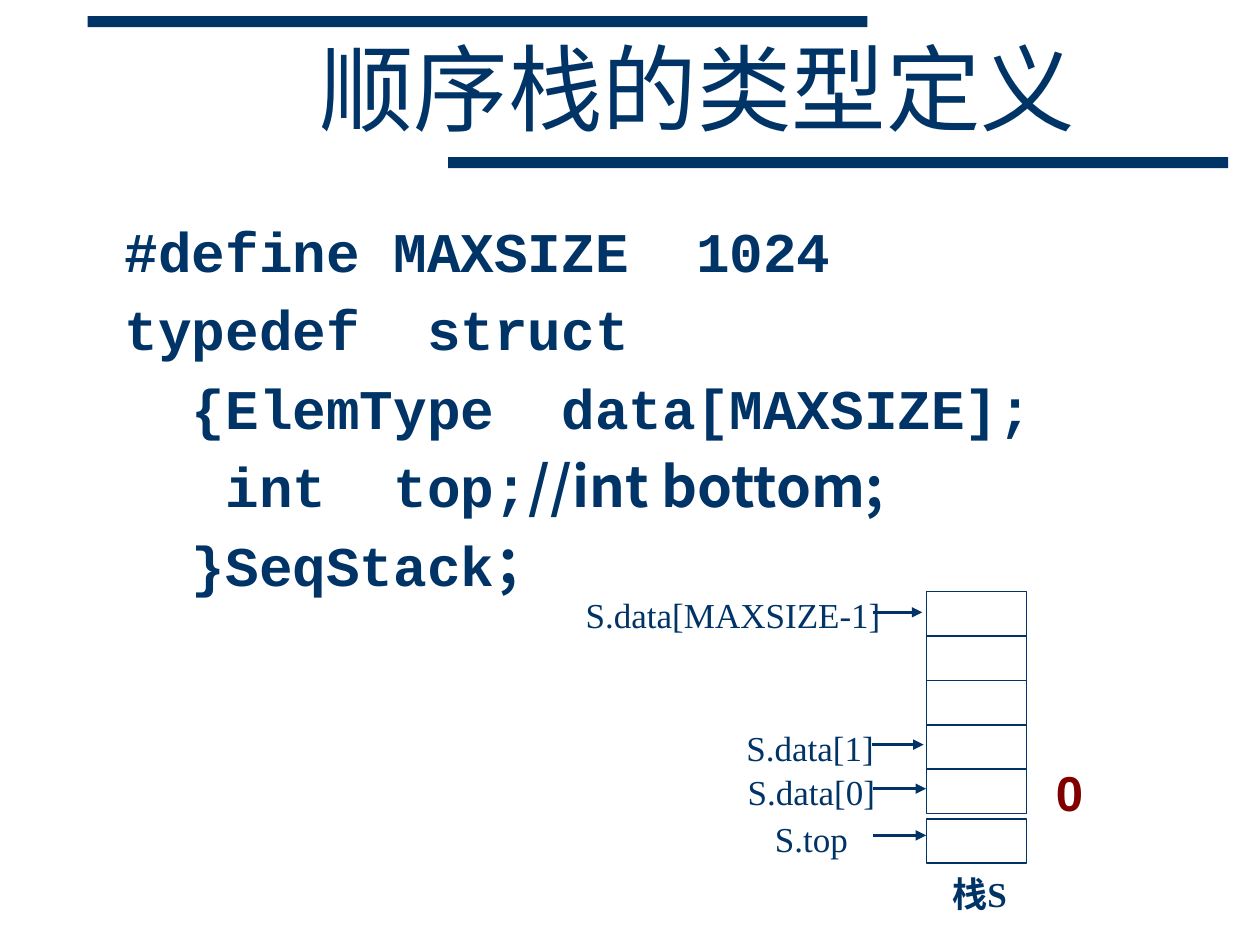
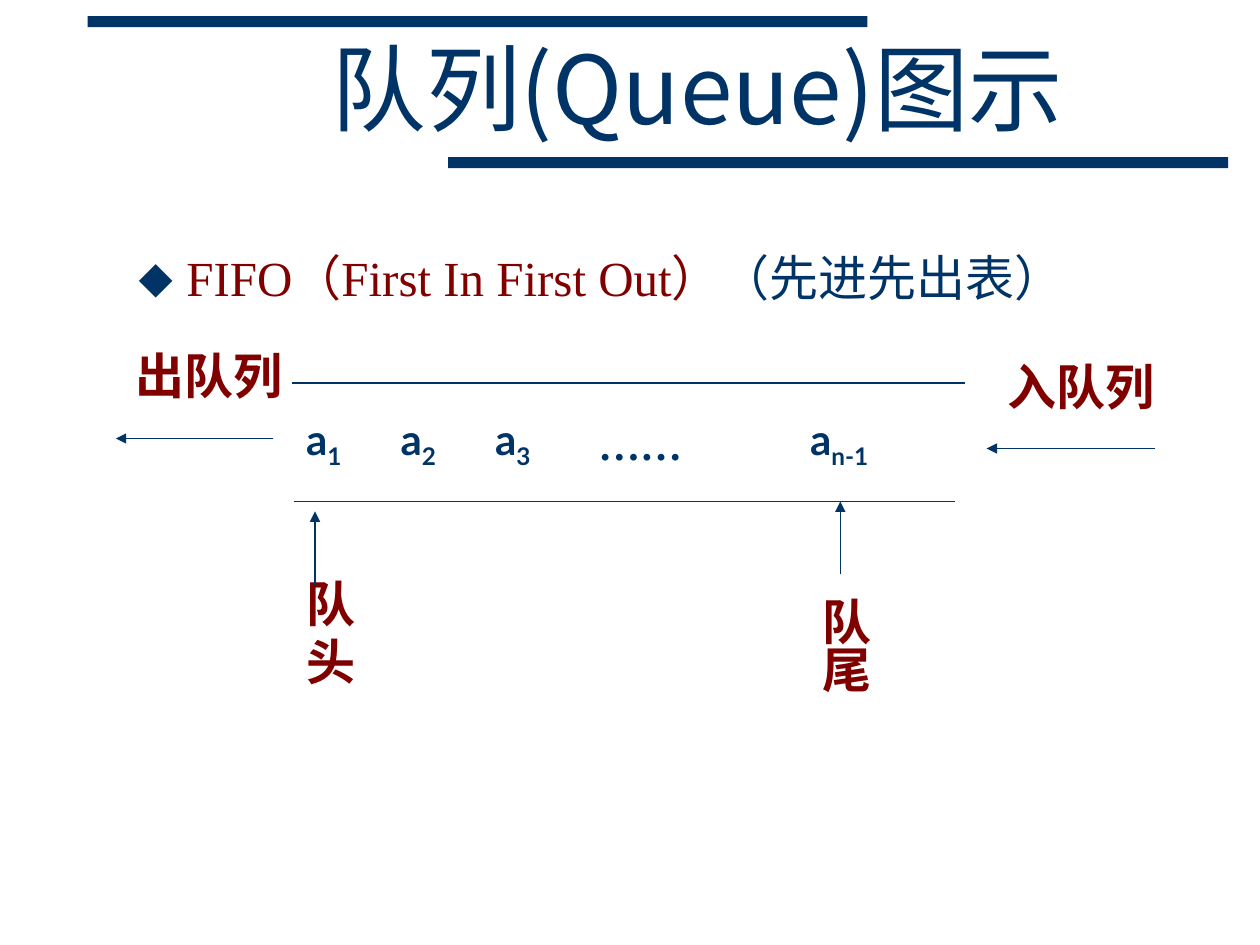
from dataclasses import dataclass

from lxml.etree import SubElement
from pptx import Presentation
from pptx.dml.color import RGBColor
from pptx.enum.shapes import MSO_CONNECTOR, MSO_SHAPE
from pptx.enum.text import MSO_ANCHOR, MSO_AUTO_SIZE, PP_ALIGN
from pptx.oxml.ns import qn
from pptx.util import Pt


@dataclass(frozen=True)
class Theme:
    navy: str = "003366"
    maroon: str = "800000"
    title_size: int = 54
    code_size: int = 32
    heading_size: int = 28
    item_size: int = 24
    label_size: int = 20
    title_font: str = "Noto Sans CJK JP"
    chinese: str = "Noto Sans CJK SC"
    code: str = "Courier New"
    serif: str = "Times New Roman"
    sans: str = "Arial"
    item: str = "Lato"


THEME = Theme()

# A paragraph is a list of spans: (text, format changes).
STACK_TITLE = "顺序栈的类型定义"
STACK_CODE = [
    [("#define MAXSIZE  1024", {})],
    [("typedef  struct", {})],
    [("  {ElemType  data[MAXSIZE];", {})],
    [("   int  top;", {}), ("//int bottom;", {"font": THEME.chinese})],
    [("  }SeqStack", {}), ("；", {"font": THEME.chinese})],
]
# Label, its box (left, top, width), arrow (start, end, height)
STACK_LABELS = [
    ("S.data[MAXSIZE-1]", (325.4, 337, 187.2), (499, 527, 349.9)),
    ("S.data[1]", (423, 413.3, 80), (498.2, 527.8, 425.5)),
    ("S.data[0]", (423.7, 438.5, 80), (499, 529.2, 450.7)),
    ("S.top", (423.7, 465.1, 80), (499, 529.2, 477.4)),
]
STACK_NAME = "栈S"
TOP_VALUE = "0"
DATA_CELLS = 5
CELL_LEFT, CELL_TOP, CELL_PITCH = 529.6, 338.1, 25.4
CELL_WIDTH, CELL_HEIGHT, TOP_CELL = 56.9, 25.2, 468

QUEUE_TITLE = "队列(Queue)图示"
QUEUE_RULE = [[
    ("FIFO", {}),
    ("（", {"font": THEME.sans}),
    ("First In First Out", {}),
    ("）", {"font": THEME.sans}),
    ("（先进先出表）", {"font": THEME.sans, "color": THEME.navy}),
]]
# Subscript, column and box width
QUEUE_ITEMS = [("1", 0, 38.9), ("2", 1, 38.9), ("3", 2, 38.9), ("n-1", 16 / 3, 56.2)]
ITEM_LEFT, ITEM_TOP, ITEM_PITCH = 167.8, 232.6, 54
QUEUE_GAP = "……"
# Lines of a label, its box, and whether it reads downwards
QUEUE_LABELS = [
    (["出队列"], (70.6, 193.7, 98.6, 41), False),
    (["入队列"], (568.8, 200.2, 98.6, 41), False),
    (["队", "头"], (167.8, 324, 42.5, 74.2), False),
    (["队尾"], (455, 334.1, 48.2, 62.6), True),
]
QUEUE_WALLS = [(167, 218.9, 551.5, 218.9), (167.8, 286.6, 545.8, 286.6)]
QUEUE_ARROWS = [
    (156.2, 250.6, 66.2, 250.6),
    (660.2, 256.3, 563.8, 256.3),
    (180, 334.1, 180, 292.3),
    (480.2, 328.3, 480.2, 286.6),
]

BANDS = [(50, 9.2), (256.1, 89.8)]
BAND_SIZE = (445.7, 6.3)
TITLE_BOX = (108, 18.9, 581, 72)
HANGING = 27.36


def rgb(color):
    return RGBColor.from_string(color)


def place(shape, box):
    shape.left, shape.top, shape.width, shape.height = map(Pt, box)


def add_span(para, text, *, size, font, chinese=None, color=THEME.navy, bold=False,
             subscript=False):
    """Add a run; Chinese text takes the same font unless another is named."""
    span = para.add_run()
    span.text = text
    span.font.size, span.font.bold, span.font.name = Pt(size), bold, font
    span.font.color.rgb = rgb(color)
    properties = span.font._element
    SubElement(properties, qn("a:ea"), typeface=chinese or font)
    if subscript:
        properties.set("baseline", "-25000")


def set_bullet(para, mark):
    properties = para._p.get_or_add_pPr()
    properties.set("marL", str(Pt(HANGING)))
    properties.set("indent", str(-Pt(HANGING)))
    if mark:
        color = SubElement(properties, qn("a:buClr"))
        SubElement(color, qn("a:srgbClr"), val=THEME.navy)
        SubElement(properties, qn("a:buChar"), char=mark)
    else:
        SubElement(properties, qn("a:buNone"))


def fill_body(body, box, paragraphs, *, inset, mark=None, align=None, line=None, **style):
    place(body, box)
    frame = body.text_frame
    frame.auto_size = MSO_AUTO_SIZE.NONE
    frame.vertical_anchor = MSO_ANCHOR.TOP
    frame.margin_top = Pt(inset)
    for index, spans in enumerate(paragraphs):
        para = frame.add_paragraph() if index else frame.paragraphs[0]
        set_bullet(para, mark)
        para.alignment = align
        para.space_before = Pt(style["size"] * 0.2 if index else 0)
        if line:
            para.line_spacing = Pt(line)
        for text, changes in spans:
            add_span(para, text, **{**style, **changes})


def add_text(page, box, paragraphs, *, centered=False, downwards=False, wrap=False, **style):
    """Add a text box; each paragraph is a list of (text, format changes)."""
    shape = page.shapes.add_textbox(*map(Pt, box))
    frame = shape.text_frame
    frame.word_wrap = wrap
    if centered:
        frame.vertical_anchor = MSO_ANCHOR.MIDDLE
        frame.margin_left = frame.margin_right = 0
    else:
        frame.auto_size = MSO_AUTO_SIZE.SHAPE_TO_FIT_TEXT
    if downwards:
        frame._txBody.bodyPr.set("vert", "eaVert")
    for index, spans in enumerate(paragraphs):
        para = frame.add_paragraph() if index else frame.paragraphs[0]
        para.alignment = PP_ALIGN.CENTER if centered else PP_ALIGN.LEFT
        for text, changes in spans:
            add_span(para, text, **{**style, **changes})


def add_box(page, box, *, fill=None, line=None):
    shape = page.shapes.add_shape(MSO_SHAPE.RECTANGLE, *map(Pt, box))
    shape.shadow.inherit = False
    if fill:
        shape.fill.solid()
        shape.fill.fore_color.rgb = rgb(fill)
    else:
        shape.fill.background()
    if line:
        shape.line.color.rgb = rgb(line)
        shape.line.width = Pt(0.75)
    else:
        shape.line.fill.background()


def add_line(page, ends, *, width=0.75, arrow=False):
    line = page.shapes.add_connector(MSO_CONNECTOR.STRAIGHT, *map(Pt, ends))
    line.line.color.rgb = rgb(THEME.navy)
    line.line.width = Pt(width)
    if arrow:
        SubElement(line.line._get_or_add_ln(), qn("a:tailEnd"), type="triangle")
    SubElement(line._element.spPr, qn("a:effectLst"))


def add_page(deck, title):
    """Add a slide with the shared bands and title; return it with its body."""
    page = deck.slides.add_slide(deck.slide_layouts[1])
    for corner in BANDS:
        add_box(page, corner + BAND_SIZE, fill=THEME.navy)
    heading = page.shapes.title
    place(heading, TITLE_BOX)
    frame = heading.text_frame
    frame.auto_size = MSO_AUTO_SIZE.NONE
    frame.vertical_anchor = MSO_ANCHOR.MIDDLE
    para = frame.paragraphs[0]
    para.alignment = PP_ALIGN.CENTER
    para.line_spacing = 0.85
    add_span(para, title, size=THEME.title_size, font=THEME.title_font)
    return page, page.placeholders[1]


def build_stack(deck):
    page, body = add_page(deck, STACK_TITLE)
    fill_body(body, (64.1, 120.2, 626.4, 305.3), STACK_CODE, inset=3.5, line=38.4,
              align=PP_ALIGN.JUSTIFY, size=THEME.code_size, font=THEME.code, bold=True)
    tops = [CELL_TOP + CELL_PITCH * row for row in range(DATA_CELLS)] + [TOP_CELL]
    for top in tops:
        add_box(page, (CELL_LEFT, top, CELL_WIDTH, CELL_HEIGHT), line=THEME.navy)
    for text, box, (start, end, height) in STACK_LABELS:
        add_text(page, box + (28.1,), [[(text, {})]], centered=True,
                 size=THEME.label_size, font=THEME.serif)
        add_line(page, (start, height, end, height), width=1.5, arrow=True)
    add_text(page, (527, 473.8, 65.5, 73.4), [[(STACK_NAME, {})]], centered=True,
             size=THEME.label_size, font=THEME.serif, chinese=THEME.chinese, bold=True)
    add_text(page, (596.2, 432, 85, 41), [[(TOP_VALUE, {})]], wrap=True,
             size=THEME.heading_size, font=THEME.sans, color=THEME.maroon, bold=True)


def build_queue(deck):
    page, body = add_page(deck, QUEUE_TITLE)
    fill_body(body, (72, 138.2, 612, 48.2), QUEUE_RULE, inset=3.4, mark="⬥",
              size=THEME.heading_size, font=THEME.serif, color=THEME.maroon)
    for wall in QUEUE_WALLS:
        add_line(page, wall)
    for subscript, column, width in QUEUE_ITEMS:
        box = (ITEM_LEFT + ITEM_PITCH * column, ITEM_TOP, width, 36)
        add_text(page, box, [[("a", {}), (subscript, {"subscript": True})]],
                 size=THEME.item_size, font=THEME.item, bold=True)
    add_text(page, (334.8, 235.4, 62.6, 36), [[(QUEUE_GAP, {})]],
             size=THEME.item_size, font=THEME.serif, bold=True)
    for lines, box, downwards in QUEUE_LABELS:
        add_text(page, box, [[(text, {})] for text in lines], downwards=downwards,
                 size=THEME.heading_size, font=THEME.item, color=THEME.maroon, bold=True)
    for ends in QUEUE_ARROWS:
        add_line(page, ends, arrow=True)


def main():
    deck = Presentation()
    deck.slide_width, deck.slide_height = Pt(720), Pt(540)
    build_stack(deck)
    build_queue(deck)
    deck.save("out.pptx")


if __name__ == "__main__":
    main()
